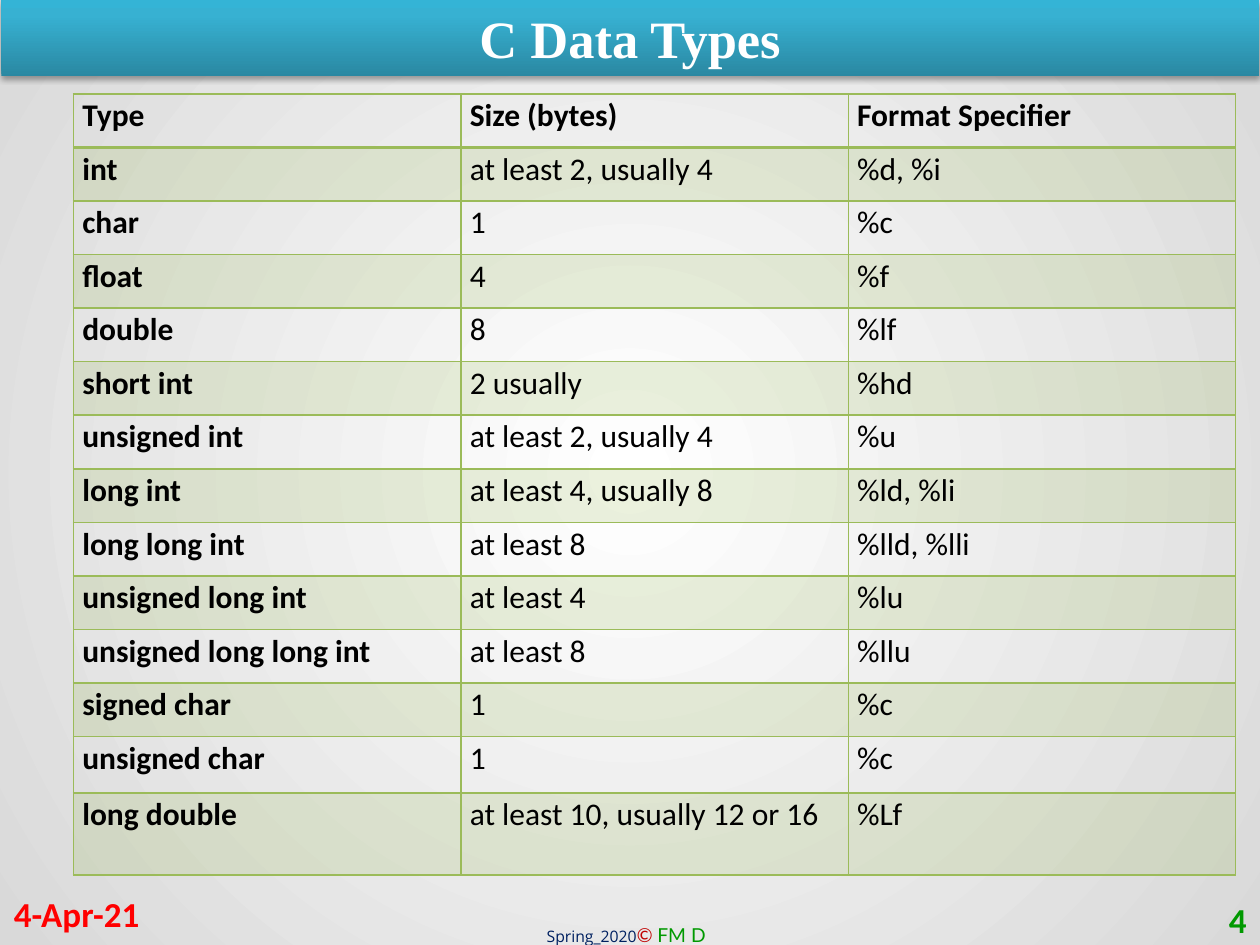
from pptx import Presentation
from pptx.dml.color import RGBColor
from pptx.enum.shapes import MSO_SHAPE
from pptx.enum.text import MSO_ANCHOR, MSO_AUTO_SIZE, PP_ALIGN
from pptx.oxml import parse_xml
from pptx.oxml.ns import nsdecls
from pptx.util import Cm, Pt

ROWS = [
    ("Type", "Size (bytes)", "Format Specifier"),
    ("int", "at least 2, usually 4", "%d, %i"),
    ("char", "1", "%c"),
    ("float", "4", "%f"),
    ("double", "8", "%lf"),
    ("short int", "2 usually", "%hd"),
    ("unsigned int", "at least 2, usually 4", "%u"),
    ("long int", "at least 4, usually 8", "%ld, %li"),
    ("long long int", "at least 8", "%lld, %lli"),
    ("unsigned long int", "at least 4", "%lu"),
    ("unsigned long long int", "at least 8", "%llu"),
    ("signed char", "1", "%c"),
    ("unsigned char", "1", "%c"),
    ("long double", "at least 10, usually 12 or 16", "%Lf"),
]
GREEN = "9BBB59"


def color(code):
    return RGBColor.from_string(code)


def apply(target, values):
    for name, value in values.items():
        setattr(target, name, value)


def xml(tag, attrs="", body=""):
    return f"<a:{tag} {nsdecls('a')} {attrs}>{body}</a:{tag}>"


def tint(code, alpha=100):
    return xml("srgbClr", f'val="{code}"',
               xml("alpha", f'val="{alpha * 1000}"'))


class Page:
    """Holds the text style and the current slide."""

    font = {"name": "Calibri", "size": Pt(18), "bold": False}
    inset = {"margin_left": Cm(0.18), "margin_right": Cm(0.18),
             "margin_top": 0, "margin_bottom": 0}

    def __init__(self, deck):
        self.slide = deck.slides.add_slide(deck.slide_layouts[6])

    def blend(self, fill, parent, stops, mode):
        """Turn a fill into a gradient of (position, colour) stops."""
        fill.solid()
        old = next(parent.iter("{*}solidFill"))
        marks = "".join(xml("gs", f'pos="{pos * 1000}"', tint(code))
                        for pos, code in stops)
        new = parse_xml(xml("gradFill", 'rotWithShape="1"',
                            xml("gsLst", "", marks) + mode))
        old.getparent().replace(old, new)

    def back(self, stops):
        centre = xml("fillToRect", 'l="50000" t="50000" r="50000" b="50000"')
        ground = self.slide.background
        self.blend(ground.fill, self.slide.element, stops,
                   xml("path", 'path="circle"', centre))

    def add_text(self, para, text, hue, **style):
        run = para.add_run()
        run.text = text
        apply(run.font, {**self.font, **style})
        run.font.color.rgb = color(hue)

    def label(self, box, runs, align=PP_ALIGN.LEFT, **frame):
        shape = self.slide.shapes.add_textbox(*map(Cm, box))
        apply(shape.text_frame, {"word_wrap": True, **frame})
        para = shape.text_frame.paragraphs[0]
        para.alignment = align
        for text, hue, style in runs:
            self.add_text(para, text, hue, **style)

    def banner(self, box, text, stops):
        shape = self.slide.shapes.add_shape(MSO_SHAPE.RECTANGLE, *map(Cm, box))
        shape.line.fill.background()
        props = shape.element.spPr
        self.blend(shape.fill, props, stops,
                   xml("lin", 'ang="16200000" scaled="0"'))
        shade = xml("outerShdw", f'blurRad="{Pt(3.1)}" dist="{Pt(1.8)}" '
                    'dir="5400000" rotWithShape="0"', tint("000000", 35))
        props.append(parse_xml(xml("effectLst", "", shade)))
        apply(shape.text_frame, {"word_wrap": True,
                                 "vertical_anchor": MSO_ANCHOR.TOP})
        para = shape.text_frame.paragraphs[0]
        para.alignment = PP_ALIGN.CENTER
        self.add_text(para, text, "FFFFFF", name="Times New Roman",
                      size=Pt(30), bold=True)

    def edge(self, cell, widths):
        """Draw the left, right, top and bottom borders of a cell."""
        props = cell._tc.get_or_add_tcPr()
        for spot, (side, width) in enumerate(zip("LRTB", widths)):
            props.insert(spot, parse_xml(xml(
                f"ln{side}", f'w="{Pt(width)}"',
                xml("solidFill", "", tint(GREEN)))))

    def cell(self, cell, text, row, col):
        apply(cell, self.inset)
        para = cell.text_frame.paragraphs[0]
        para.line_spacing = 1.07
        self.add_text(para, text, "000000", bold=row == 0 or col == 0)
        if row % 2:
            cell.fill.solid()
            cell.fill.fore_color.rgb = color(GREEN)
            hue = next(cell._tc.tcPr.iter("{*}srgbClr"))
            hue.append(parse_xml(xml("alpha", 'val="20000"')))
        else:
            cell.fill.background()
        self.edge(cell, (1, 1, 2 if row == 1 else 1, 2 if row == 0 else 1))

    def table(self, left, top, width, highs, rows):
        count = len(rows[0])
        grid = self.slide.shapes.add_table(
            len(rows), count, Cm(left), Cm(top),
            Cm(width * count), Cm(sum(highs))).table
        apply(grid, {"first_row": False, "horz_banding": False})
        for col in grid.columns:
            col.width = Cm(width)
        for row, (high, texts) in enumerate(zip(highs, rows)):
            grid.rows[row].height = Cm(high)
            for col, text in enumerate(texts):
                self.cell(grid.cell(row, col), text, row, col)


def main():
    deck = Presentation()
    apply(deck, {"slide_width": Cm(25.4), "slide_height": Cm(19.05)})
    page = Page(deck)
    page.back([(0, "FFFFFF"), (100, "D9D9D9")])

    # Footer
    page.label((10.77, 18.49, 3.84, 0.74), [
        ("Spring_2020", "002060", {"name": "Open Sans", "size": Pt(9)}),
        ("© ", "C00000", {"name": "Lato", "size": Pt(11), "italic": True}),
        ("FM D", "009900", {"name": "Lato", "size": Pt(11)}),
    ], word_wrap=False, auto_size=MSO_AUTO_SIZE.SHAPE_TO_FIT_TEXT)

    # Title
    page.banner((0.03, 0, 25.35, 1.54), "C Data Types",
                [(0, "2A88A2"), (80, "37B1D2"), (100, "34B4D6")])

    # Date and slide number
    bold = {"size": Pt(20), "bold": True}
    page.label((0.03, 17.91, 5.92, 1.02), [("4-Apr-21", "FF0000", bold)],
               vertical_anchor=MSO_ANCHOR.MIDDLE)
    page.label((19.46, 18.03, 5.92, 1.02), [("4", "009900", bold)],
               PP_ALIGN.RIGHT, vertical_anchor=MSO_ANCHOR.MIDDLE)

    # Data types
    page.table(1.48, 1.89, 7.81, [1.08] * 12 + [1.14, 1.65], ROWS)

    deck.save("out.pptx")


if __name__ == "__main__":
    main()
